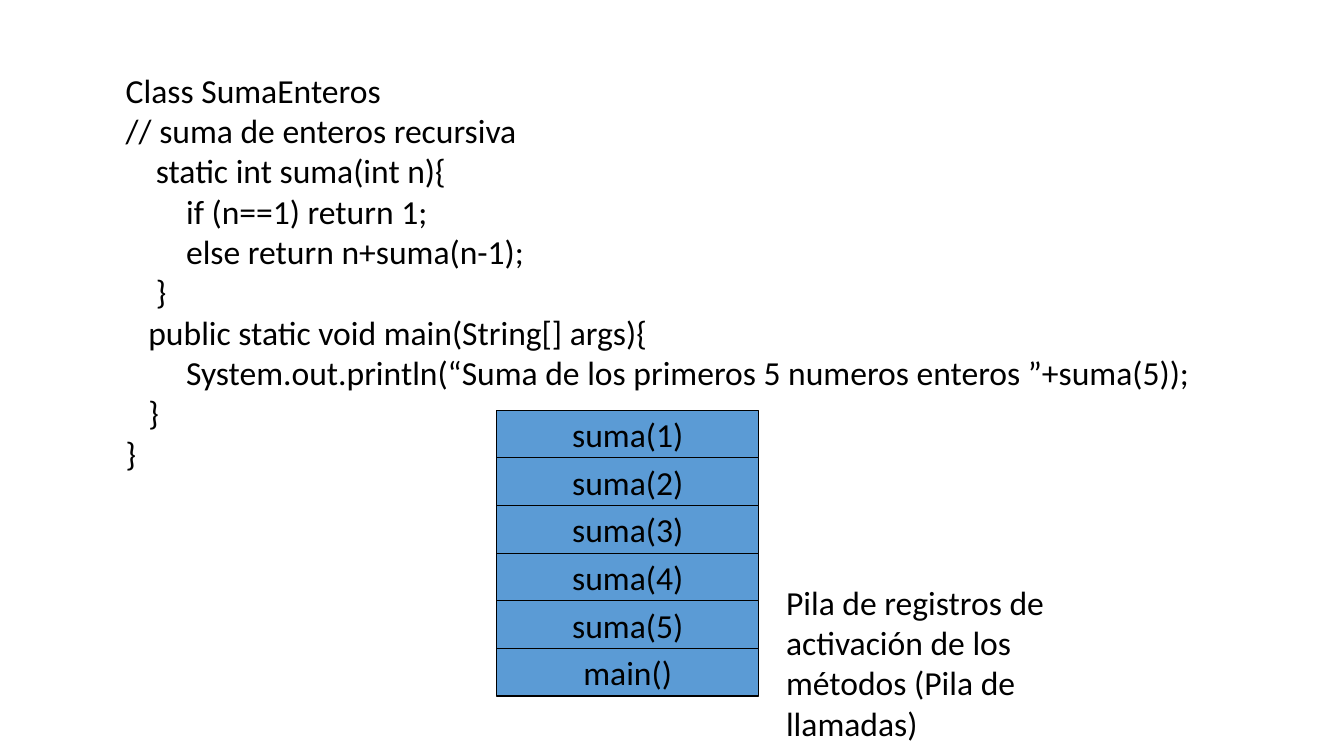
import pptx
import pptx.dml.color
import pptx.enum.shapes
import pptx.enum.text
import pptx.util

Cm = pptx.util.Cm
Pt = pptx.util.Pt
ALIGN = pptx.enum.text.PP_ALIGN
ANCHOR = pptx.enum.text.MSO_ANCHOR
AUTO_SIZE = pptx.enum.text.MSO_AUTO_SIZE

BLACK = "000000"
BLUE = "5B9BD5"
SPACE_WIDTH = 0.19
FRAME_LEFT, STACK_BOTTOM = 12.52, 17.54
FRAME_WIDTH, FRAME_HEIGHT = 6.6, 1.2

CODE = [
    (0, "Class SumaEnteros"),
    (0, "// suma de enteros recursiva"),
    (4, "static int suma(int n){"),
    (8, "if (n==1) return 1;"),
    (8, "else return n+suma(n-1);"),
    (4, "}"),
    (3, "public static void main(String[] args){"),
    (8, "System.out.println(“Suma de los primeros 5 numeros enteros ”+suma(5));"),
    (3, "}"),
    (0, "}"),
]
CALLS = ["main()"] + [f"suma({n})" for n in range(5, 0, -1)]
CAPTION = "Pila de registros de activación de los métodos (Pila de llamadas)"


def color(value):
    return pptx.dml.color.RGBColor.from_string(value)


def write_text(paragraph, text, size=24, font="Calibri", fill=BLACK,
               align=ALIGN.LEFT, indent=0):
    paragraph.alignment = align
    if indent:
        properties = paragraph._p.get_or_add_pPr()
        properties.set("marL", str(Cm(indent)))
        properties.set("indent", "0")
    run = paragraph.add_run()
    run.text = text
    run.font.size = Pt(size)
    run.font.name = font
    run.font.color.rgb = color(fill)


def add_text_box(slide, left, top, width, height, lines, wrap):
    box = slide.shapes.add_textbox(Cm(left), Cm(top), Cm(width), Cm(height))
    frame = box.text_frame
    frame.word_wrap = wrap
    frame.auto_size = AUTO_SIZE.SHAPE_TO_FIT_TEXT
    for index, (spaces, text) in enumerate(lines):
        paragraph = frame.add_paragraph() if index else frame.paragraphs[0]
        write_text(paragraph, text, indent=spaces * SPACE_WIDTH)


def add_stack_frame(slide, top, text):
    shape = slide.shapes.add_shape(
        pptx.enum.shapes.MSO_SHAPE.RECTANGLE,
        Cm(FRAME_LEFT), Cm(top), Cm(FRAME_WIDTH), Cm(FRAME_HEIGHT))
    shape.shadow.inherit = False
    shape.fill.solid()
    shape.fill.fore_color.rgb = color(BLUE)
    shape.line.color.rgb = color(BLACK)
    shape.line.width = Pt(0.75)
    shape.text_frame.word_wrap = False
    shape.text_frame.vertical_anchor = ANCHOR.MIDDLE
    write_text(shape.text_frame.paragraphs[0], text, align=ALIGN.CENTER)


def main():
    presentation = pptx.Presentation()
    presentation.slide_width = Cm(33.87)
    presentation.slide_height = Cm(19.05)
    slide = presentation.slides.add_slide(presentation.slide_layouts[6])
    add_text_box(slide, 2.92, 1.63, 27.51, 10.52, CODE, wrap=False)
    for level, call in enumerate(CALLS, start=1):
        add_stack_frame(slide, STACK_BOTTOM - level * FRAME_HEIGHT, call)
    add_text_box(slide, 19.56, 14.53, 8.41, 4.37, [(0, CAPTION)], wrap=True)
    presentation.save("out.pptx")


if __name__ == "__main__":
    main()
